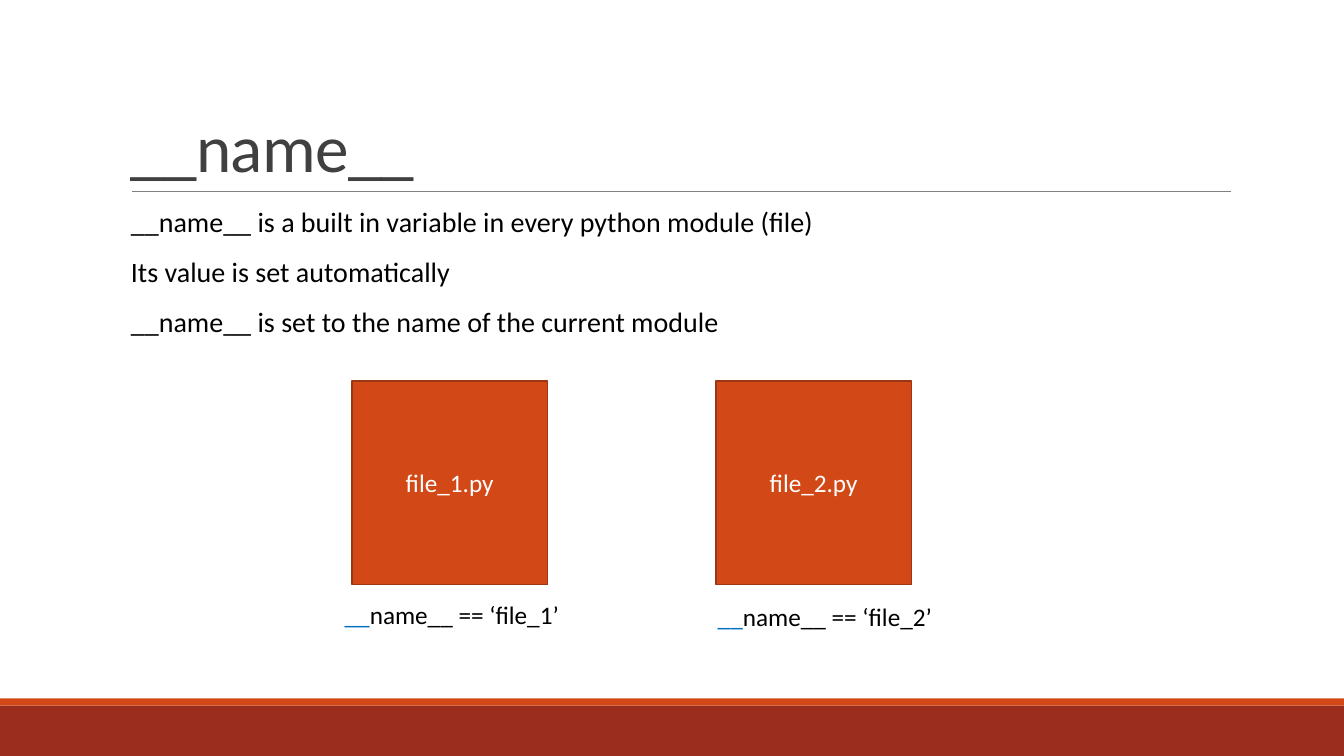
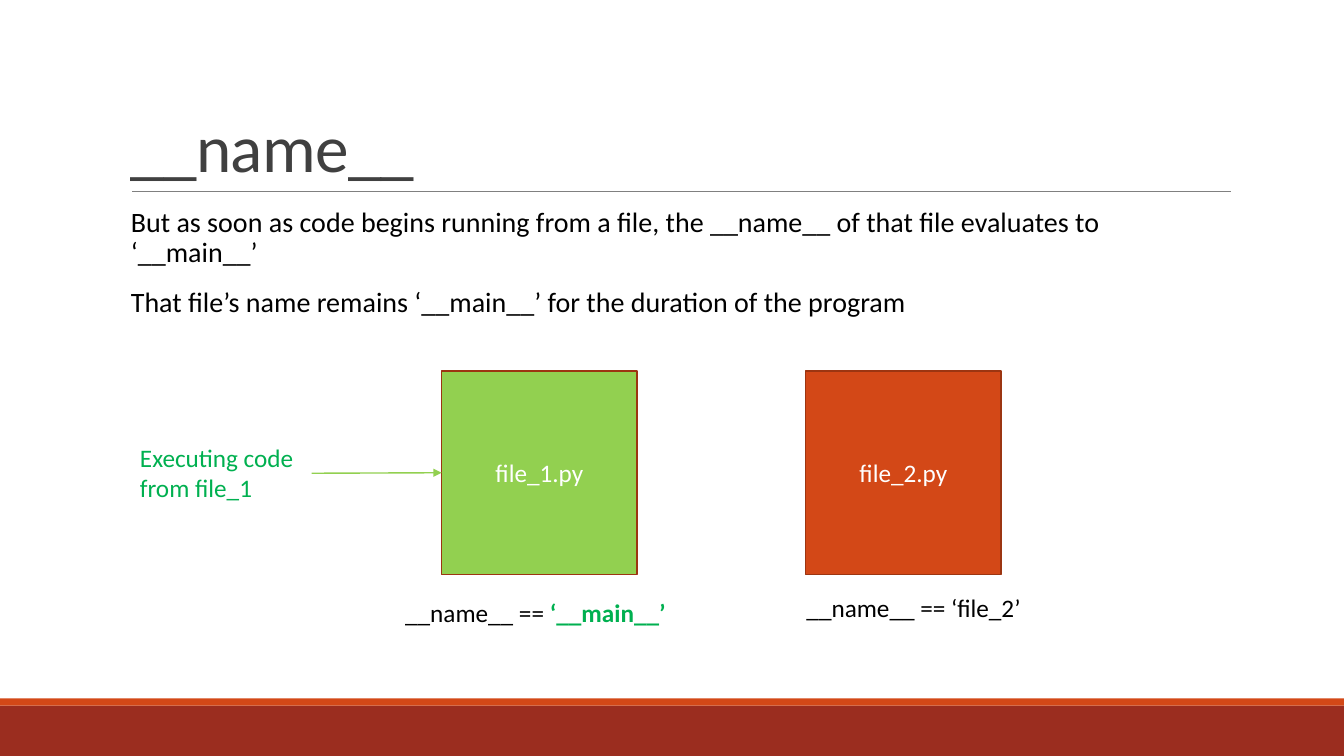
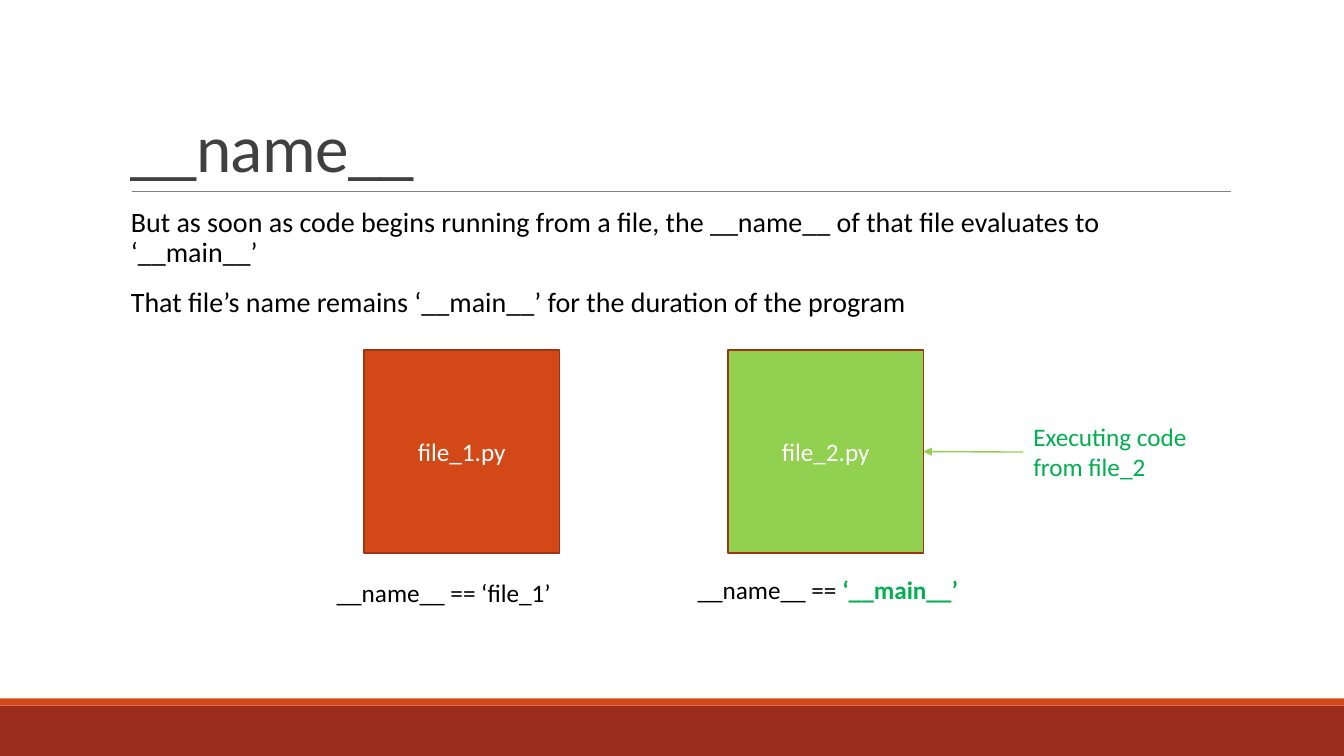
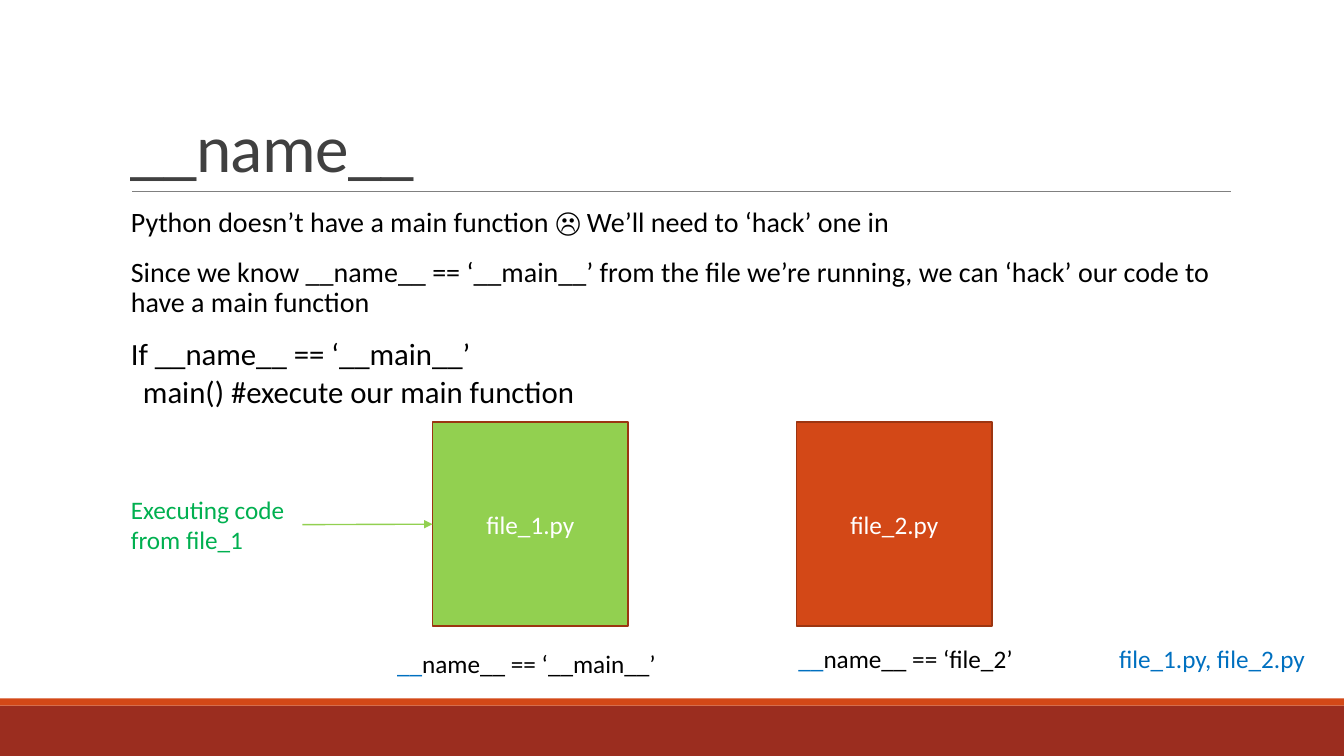
from dataclasses import dataclass

from lxml import etree
from pptx import Presentation
from pptx.dml.color import RGBColor
from pptx.enum.shapes import MSO_CONNECTOR, MSO_SHAPE
from pptx.enum.text import MSO_ANCHOR, MSO_AUTO_SIZE, PP_ALIGN
from pptx.oxml.ns import qn
from pptx.util import Pt

PX = 9144  # one hundredth of an inch
RECT = MSO_SHAPE.RECTANGLE
STRAIGHT = MSO_CONNECTOR.STRAIGHT
MIDDLE, BOTTOM = MSO_ANCHOR.MIDDLE, MSO_ANCHOR.BOTTOM
GROW = MSO_AUTO_SIZE.SHAPE_TO_FIT_TEXT
CENTER = PP_ALIGN.CENTER
LEFT_SIDE, RIGHT_SIDE = 1, 3

WIDE, HIGH = 1333, 750
BOX_W, BOX_H, PITCH = 194, 202, 361
NOTE_W, NOTE_H = 180, 71


@dataclass(frozen=True)
class Theme:
    font: str = "Calibri"
    band: str = "9B2D1F"
    accent: str = "D34817"
    edge: str = "9C3511"
    rule: str = "808080"
    title: str = "404040"
    ink: str = "000000"
    white: str = "FFFFFF"
    live: str = "92D050"
    green: str = "00B050"
    blue: str = "0070C0"
    title_pt: int = 48
    body_pt: int = 20
    code_pt: int = 22
    label_pt: int = 18


T = Theme()

RUN_TEXT = [
    "But as soon as code begins running from a file, the __name__ of that file evaluates to ‘__main__’",
    "That file’s name remains ‘__main__’ for the duration of the program",
]
MAIN_RUNS = [("__name__ == ", T.ink), ("‘__main__’", T.green, True)]


def px(*values):
    return [v * PX for v in values]


def rgb(code):
    return RGBColor.from_string(code)


def add_run(para, text, size, color, bold=False):
    run = para.add_run()
    run.text = text
    font = run.font
    font.name, font.size, font.bold = T.font, Pt(size), bold
    font.color.rgb = rgb(color)
    return run


def add_rect(slide, left, top, width, height, fill, edge=None):
    rect = slide.shapes.add_shape(RECT, *px(left, top, width, height))
    rect.shadow.inherit = False
    rect.fill.solid()
    rect.fill.fore_color.rgb = rgb(fill)
    if edge:
        rect.line.color.rgb = rgb(edge)
        rect.line.width = Pt(1.25)
    else:
        rect.line.fill.background()
    return rect


def add_line(slide, start, end, color, width):
    line = slide.shapes.add_connector(STRAIGHT, *px(*start, *end))
    line.line.color.rgb = rgb(color)
    line.line.width = Pt(width)
    etree.SubElement(line._element.spPr, qn("a:effectLst"))
    return line


def add_label(slide, left, top, width, lines, height=40, wrap=False):
    """Add small text; each line is a list of (text, color, bold) runs."""
    label = slide.shapes.add_textbox(*px(left, top, width, height))
    frame = label.text_frame
    frame.word_wrap, frame.auto_size = wrap, GROW
    for i, runs in enumerate(lines):
        para = frame.add_paragraph() if i else frame.paragraphs[0]
        for text, *look in runs:
            add_run(para, text, T.label_pt, *look)
    return label


def add_title(slide, text):
    frame = slide.shapes.add_textbox(*px(120, 31, 1100, 159)).text_frame
    frame.word_wrap, frame.vertical_anchor = True, BOTTOM
    para = frame.paragraphs[0]
    para.line_spacing = 0.85
    run = add_run(para, text, T.title_pt, T.title)
    run.font._element.set("spc", "-50")


def add_body(slide, lines, code=(), height=146):
    """Add the main text; code lines are larger, the second one indented."""
    frame = slide.shapes.add_textbox(*px(120, 202, 1100, height)).text_frame
    frame.word_wrap = True
    frame.margin_left, frame.margin_right = px(10, 0)
    rows = [(text, T.body_pt, False) for text in lines]
    rows += [(text, T.code_pt, i > 0) for i, text in enumerate(code)]
    for i, (text, size, inner) in enumerate(rows):
        para = frame.add_paragraph() if i else frame.paragraphs[0]
        para.line_spacing = 0.9
        para.space_before = Pt(0 if i == 0 else 2 if inner else 12)
        para.space_after = Pt(4 if inner else 2)
        if inner:
            para._p.get_or_add_pPr().set("marL", str(12 * PX))
        add_run(para, text, size, T.ink)


def add_files(slide, left, top, live=None):
    """Add both file boxes, with the running one in green."""
    boxes = []
    for i in range(2):
        fill = T.live if i == live else T.accent
        box = add_rect(slide, left + i * PITCH, top, BOX_W, BOX_H, fill, T.edge)
        frame = box.text_frame
        frame.vertical_anchor = MIDDLE
        para = frame.paragraphs[0]
        para.alignment = CENTER
        add_run(para, f"file_{i + 1}.py", T.label_pt, T.white)
        boxes.append(box)
    return boxes


def add_note(slide, left, top, name, box):
    """Add the note on the running file and an arrow to its box."""
    lines = [[(text, T.green)] for text in ("Executing code", f"from {name}")]
    note = add_label(slide, left, top, NOTE_W, lines, NOTE_H)
    sides = (RIGHT_SIDE, LEFT_SIDE) if note.left < box.left else (LEFT_SIDE, RIGHT_SIDE)
    arrow = add_line(slide, (0, 0), (0, 0), T.live, 1)
    arrow.begin_connect(note, sides[0])
    arrow.end_connect(box, sides[1])
    stroke = arrow._element.spPr.find(qn("a:ln"))
    etree.SubElement(stroke, qn("a:tailEnd"), type="triangle")


def value_runs(value, lead=T.ink):
    if lead == T.ink:
        return [(f"__name__ == ‘{value}’", T.ink)]
    return [("__", lead), (f"name__ == ‘{value}’", T.ink)]


def new_slide(deck):
    slide = deck.slides.add_slide(deck.slide_layouts[6])
    add_rect(slide, 0, 700, WIDE, 50, T.band)
    add_rect(slide, 0, 693, WIDE, 7, T.accent)
    add_line(slide, (131, 190), (1221, 190), T.rule, 0.5)
    add_title(slide, "__name__")
    return slide


def names_slide(deck):
    slide = new_slide(deck)
    add_body(slide, [
        "__name__ is a built in variable in every python module (file)",
        "Its value is set automatically",
        "__name__ is set to the name of the current module",
    ])
    add_files(slide, 349, 378)
    add_label(slide, 332, 590, 241, [value_runs("file_1", T.blue)])
    add_label(slide, 702, 592, 241, [value_runs("file_2", T.blue)])


def first_slide(deck):
    slide = new_slide(deck)
    add_body(slide, RUN_TEXT)
    boxes = add_files(slide, 438, 368, live=0)
    add_label(slide, 392, 588, 286, [MAIN_RUNS])
    add_label(slide, 790, 583, 241, [value_runs("file_2")])
    add_note(slide, 129, 434, "file_1", boxes[0])


def second_slide(deck):
    slide = new_slide(deck)
    add_body(slide, RUN_TEXT)
    boxes = add_files(slide, 361, 347, live=1)
    add_label(slide, 324, 568, 241, [value_runs("file_1")])
    add_label(slide, 682, 565, 286, [MAIN_RUNS])
    add_note(slide, 1015, 413, "file_2", boxes[1])


def hack_slide(deck):
    slide = new_slide(deck)
    add_body(slide, [
        "Python doesn’t have a main function ☹ We’ll need to ‘hack’ one in",
        "Since we know __name__ == ‘__main__’ from the file we’re running, "
        "we can ‘hack’ our code to have a main function",
    ], ["If __name__ == ‘__main__’", "main() #execute our main function"], 217)
    boxes = add_files(slide, 429, 419, live=0)
    add_label(slide, 384, 638, 286, [value_runs("__main__", T.blue)])
    add_label(slide, 782, 633, 241, [value_runs("file_2", T.blue)])
    add_note(slide, 120, 485, "file_1", boxes[0])
    add_label(slide, 1100, 633, 208, [[("file_1.py, file_2.py", T.blue)]], wrap=True)


def main():
    deck = Presentation()
    deck.slide_width, deck.slide_height = px(WIDE, HIGH)
    for build in (names_slide, first_slide, second_slide, hack_slide):
        build(deck)
    deck.save("out.pptx")


if __name__ == "__main__":
    main()
